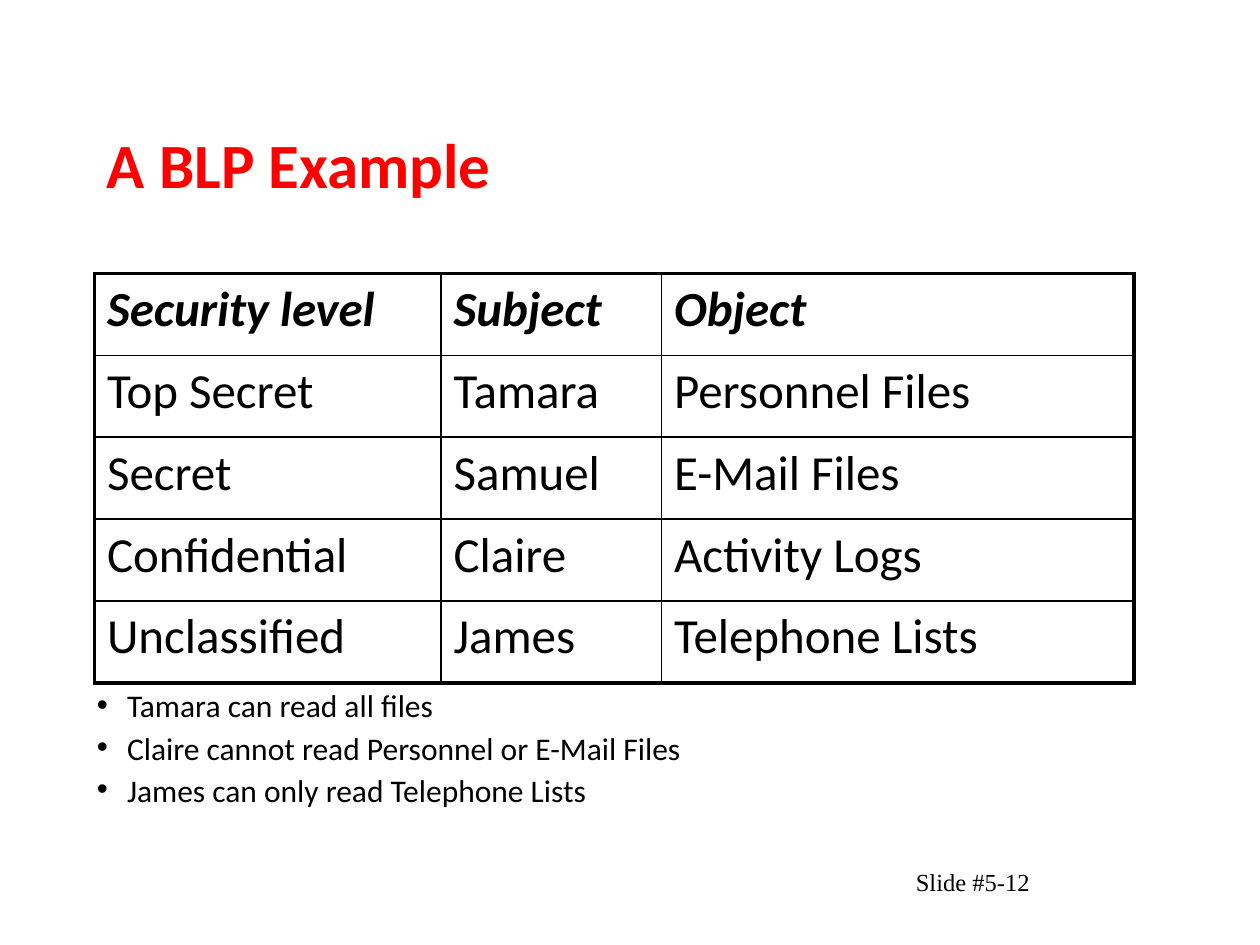
from lxml import etree
from pptx import Presentation
from pptx.dml.color import RGBColor
from pptx.enum.text import MSO_ANCHOR
from pptx.oxml.ns import qn
from pptx.util import Inches, Pt

MIDDLE, TOP = MSO_ANCHOR.MIDDLE, MSO_ANCHOR.TOP
RED = RGBColor(0xFF, 0x00, 0x00)
BLACK = RGBColor(0x00, 0x00, 0x00)
SANS, SERIF = "Calibri", "Times New Roman"
THIN, THICK = Pt(1), Pt(2.25)

COLS = (2.75, 1.75, 3.75)
ROWS = (
    ("Security level", "Subject", "Object"),
    ("Top Secret", "Tamara", "Personnel Files"),
    ("Secret", "Samuel", "E-Mail Files"),
    ("Confidential", "Claire", "Activity Logs"),
    ("Unclassified", "James", "Telephone Lists"),
)
NOTES = (
    "Tamara can read all files",
    "Claire cannot read Personnel or E-Mail Files",
    "James can only read Telephone Lists",
)


def style(para, size, face=SANS, color=BLACK, bold=False, italic=False):
    font = para.font
    font.size, font.name = Pt(size), face
    font.bold, font.italic = bold, italic
    font.color.rgb = color


def add_frame(slide, box, anchor=TOP):
    frame = slide.shapes.add_textbox(*map(Inches, box)).text_frame
    frame.word_wrap = True
    frame.vertical_anchor = anchor
    return frame


def add_line(slide, box, text, size, anchor=TOP, **look):
    """Add a text box that holds one line."""
    para = add_frame(slide, box, anchor).paragraphs[0]
    para.text = text
    style(para, size, **look)


def set_edges(cell, widths):
    """Draw cell borders; widths maps L, R, T, B to line widths, in that order."""
    props = cell._tc.get_or_add_tcPr()
    for spot, (side, width) in enumerate(widths.items()):
        line = etree.Element(qn(f"a:ln{side}"), w=str(width))
        fill = etree.SubElement(line, qn("a:solidFill"))
        etree.SubElement(fill, qn("a:srgbClr"), val=str(BLACK))
        props.insert(spot, line)


def add_grid(slide, box):
    left, top, width, height = map(Inches, box)
    count, span = len(ROWS), len(COLS)
    table = slide.shapes.add_table(count, span, left, top, width, height).table
    table.first_row = table.horz_banding = False
    for col, share in zip(table.columns, COLS):
        col.width = int(width * share / sum(COLS))
    for r, row in enumerate(ROWS):
        for c, text in enumerate(row):
            cell = table.cell(r, c)
            cell.text = text
            cell.fill.background()
            head = r == 0
            style(cell.text_frame.paragraphs[0], 28, bold=head, italic=head)
            outer = {"L": c == 0, "R": c == span - 1,
                     "T": head, "B": r == count - 1}
            set_edges(cell, {side: THICK if edge else THIN
                             for side, edge in outer.items()})


def add_notes(slide, box):
    frame = add_frame(slide, box)
    for i, text in enumerate(NOTES):
        para = frame.add_paragraph() if i else frame.paragraphs[0]
        para.text = text
        para.line_spacing = 0.7
        if i:
            para.space_before = Pt(9)
        props = para._p.get_or_add_pPr()
        props.set("marL", str(Inches(0.24)))
        props.set("indent", str(-Inches(0.24)))
        tint = etree.SubElement(props, qn("a:buClr"))
        etree.SubElement(tint, qn("a:srgbClr"), val=str(BLACK))
        etree.SubElement(props, qn("a:buFont"), typeface="Arial")
        etree.SubElement(props, qn("a:buChar"), char="•")
        style(para, 18)


def main():
    deck = Presentation()
    deck.slide_width, deck.slide_height = Inches(10), Inches(7.5)
    slide = deck.slides.add_slide(deck.slide_layouts[6])
    add_line(slide, (0.75, 0.67, 8.5, 1.25), "A BLP Example", 36,
             anchor=MIDDLE, color=RED, bold=True)
    add_grid(slide, (0.75, 2.17, 8.25, 3.25))
    add_line(slide, (7.17, 6.83, 2.08, 0.5), "Slide #5-12", 14, face=SERIF)
    add_notes(slide, (0.67, 5.48, 8.23, 1.05))
    deck.save("out.pptx")


if __name__ == "__main__":
    main()
